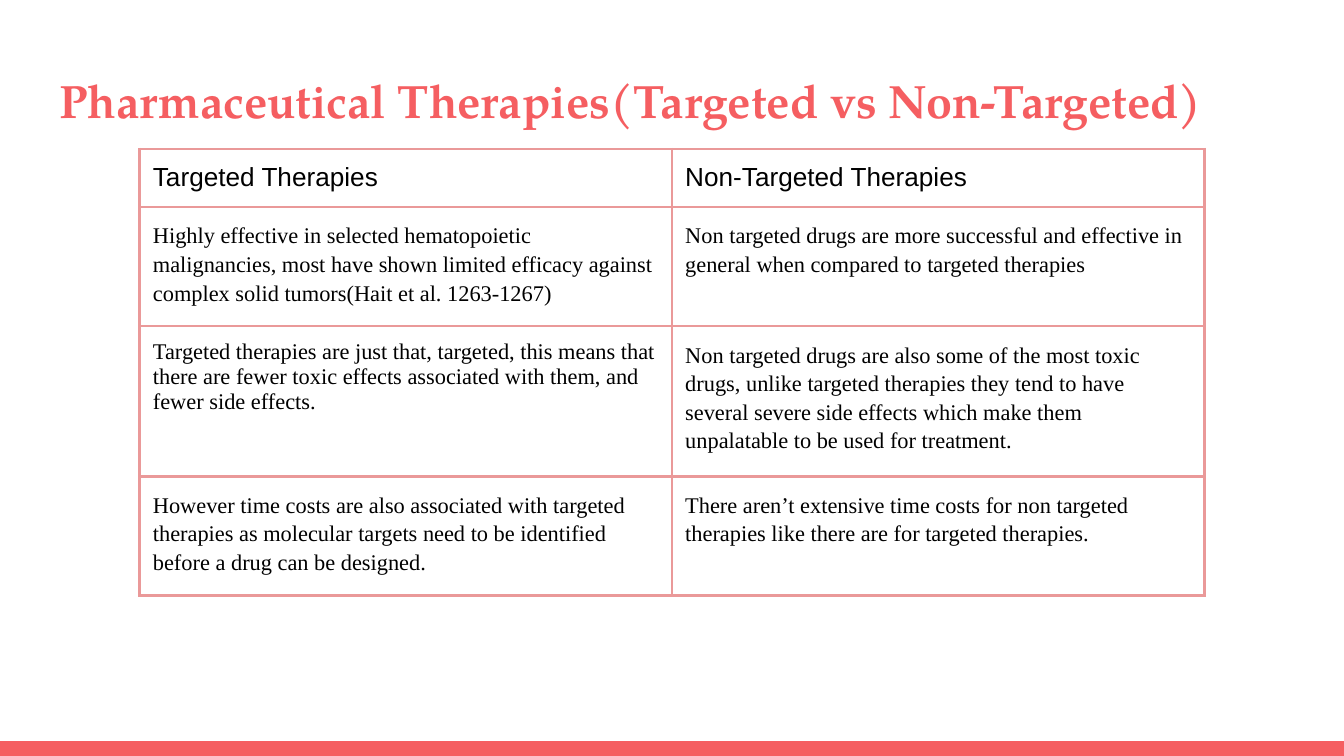
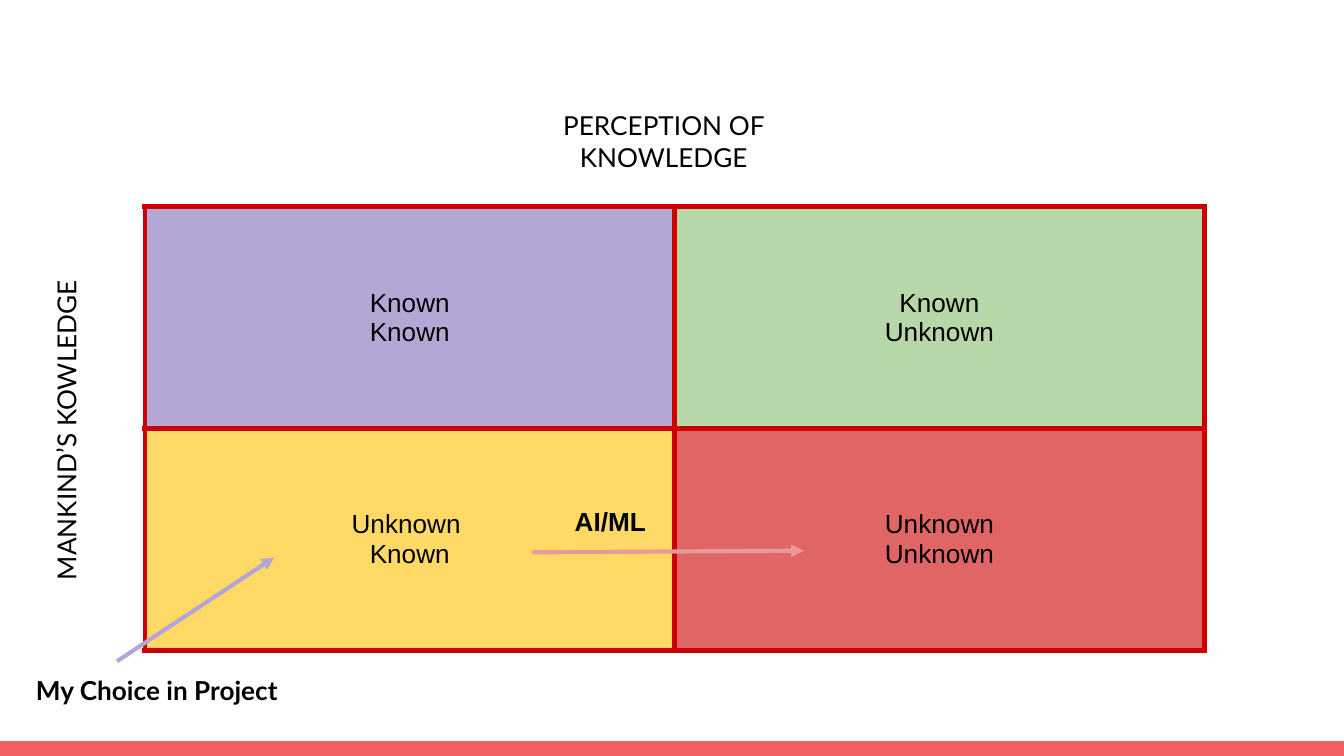
from lxml import etree
from pptx import Presentation
from pptx.dml.color import RGBColor
from pptx.enum.shapes import MSO_CONNECTOR as Connector, MSO_SHAPE as Shape
from pptx.enum.text import MSO_ANCHOR as Anchor, PP_ALIGN as Align
from pptx.oxml.ns import qn
from pptx.util import Cm, Pt

CORAL = RGBColor(0xF5, 0x5E, 0x61)
BLACK = RGBColor(0x00, 0x00, 0x00)
PINK = RGBColor(0xEA, 0x99, 0x99)
DARK_RED = RGBColor(0xCC, 0x00, 0x00)
PURPLE = RGBColor(0xB4, 0xA7, 0xD6)
GREEN = RGBColor(0xB6, 0xD7, 0xA8)
YELLOW = RGBColor(0xFF, 0xD9, 0x66)
RED = RGBColor(0xE0, 0x66, 0x66)

TITLE_FONT, LABEL_FONT = "TeX Gyre Pagella", "Lato"
TABLE_FONT, BODY_FONT = "Arial", "Times New Roman"
WIDTH, HEIGHT, BAND = 25.4, 14.29, 0.28
INSET = Cm(0.25)

# Each body cell holds its text, line spacing and space after.
THERAPIES = [
    [("Highly effective in selected hematopoietic malignancies, most have shown "
      "limited efficacy against complex solid tumors(Hait et al. 1263-1267)", 1.15, 16),
     ("Non targeted drugs are more successful and effective in general when "
      "compared to targeted therapies", 1.15, 16)],
    [("Targeted therapies are just that, targeted, this means that there are fewer "
      "toxic effects associated with them, and fewer side effects.", None, None),
     ("Non targeted drugs are also some of the most toxic drugs, unlike targeted "
      "therapies they tend to have several severe side effects which make them "
      "unpalatable to be used for treatment.", 1.15, 16)],
    [("However time costs are also associated with targeted therapies as molecular "
      "targets need to be identified before a drug can be designed.", 1.15, 16),
     ("There aren’t extensive time costs for non targeted therapies like there are "
      "for targeted therapies.", 1.15, None)],
]
QUADRANTS = [
    [("Known\nKnown", PURPLE), ("Known\nUnknown", GREEN)],
    [("Unknown \nKnown", YELLOW), ("Unknown\nUnknown", RED)],
]


def write(frame, text, font=TABLE_FONT, size=14, color=BLACK, bold=False,
          align=Align.LEFT, spacing=None, after=None):
    """Fill a text frame, one paragraph for each line of text."""
    for index, line in enumerate(text.split("\n")):
        para = frame.add_paragraph() if index else frame.paragraphs[0]
        para.alignment = align
        if spacing:
            para.line_spacing = spacing
        if after:
            para.space_after = Pt(after)
        span = para.add_run()
        span.text = line
        span.font.name = font
        span.font.size = Pt(size)
        span.font.bold = bold
        span.font.color.rgb = color


def add_text(page, text, left, top, width, height, anchor=Anchor.MIDDLE,
             rotation=0, **style):
    box = page.shapes.add_textbox(Cm(left), Cm(top), Cm(width), Cm(height))
    box.rotation = rotation
    frame = box.text_frame
    frame.word_wrap = True
    frame.vertical_anchor = anchor
    frame.margin_left = frame.margin_right = INSET
    frame.margin_top = frame.margin_bottom = INSET
    write(frame, text, **style)


def add_page(deck):
    """Add a blank slide with the band along its foot."""
    page = deck.slides.add_slide(deck.slide_layouts[6])
    band = page.shapes.add_shape(Shape.RECTANGLE, 0, Cm(HEIGHT - BAND),
                                 Cm(WIDTH), Cm(BAND))
    band.shadow.inherit = False
    band.fill.solid()
    band.fill.fore_color.rgb = CORAL
    band.line.fill.background()
    return page


def add_grid(page, left, top, column, row, rows, border, weight):
    """Add a plain two-column table with equal rows and bordered cells."""
    table = page.shapes.add_table(rows, 2, Cm(left), Cm(top),
                                  Cm(2 * column), Cm(rows * row)).table
    table.first_row = table.horz_banding = False
    for each in table.columns:
        each.width = Cm(column)
    for each in table.rows:
        each.height = Cm(row)
    for cell in table.iter_cells():
        cell.margin_left = cell.margin_right = INSET
        cell.margin_top = cell.margin_bottom = INSET
        add_borders(cell, border, weight)
        cell.fill.background()
    return table


def add_borders(cell, color, weight):
    properties = cell._tc.get_or_add_tcPr()
    for side in ("a:lnL", "a:lnR", "a:lnT", "a:lnB"):
        line = etree.SubElement(properties, qn(side), w=str(Pt(weight)))
        fill = etree.SubElement(line, qn("a:solidFill"))
        etree.SubElement(fill, qn("a:srgbClr"), val=str(color))


def add_arrow(page, start, end, color):
    arrow = page.shapes.add_connector(Connector.STRAIGHT, *map(Cm, start + end))
    arrow.line.color.rgb = color
    arrow.line.width = Pt(2.25)
    etree.SubElement(arrow.line._get_or_add_ln(), qn("a:tailEnd"), type="triangle")
    etree.SubElement(arrow._element.spPr, qn("a:effectLst"))


def add_therapies_slide(deck):
    page = add_page(deck)
    add_text(page, "Pharmaceutical Therapies(Targeted vs Non-Targeted)",
             0.87, 1.1, 23.67, 1.72, anchor=Anchor.TOP,
             font=TITLE_FONT, size=25, color=CORAL, bold=True)
    table = add_grid(page, 2.64, 2.82, 10.06, 1.07, len(THERAPIES) + 1, PINK, 1.5)
    for column, heading in enumerate(("Targeted Therapies", "Non-Targeted Therapies")):
        write(table.cell(0, column).text_frame, heading)
    for row, entries in enumerate(THERAPIES, start=1):
        for column, (text, spacing, after) in enumerate(entries):
            write(table.cell(row, column).text_frame, text, font=BODY_FONT,
                  size=12, spacing=spacing, after=after)


def add_knowledge_slide(deck):
    page = add_page(deck)
    table = add_grid(page, 2.74, 3.91, 10.01, 4.19, len(QUADRANTS), DARK_RED, 3)
    for row, entries in enumerate(QUADRANTS):
        for column, (text, color) in enumerate(entries):
            cell = table.cell(row, column)
            cell.fill.solid()
            cell.fill.fore_color.rgb = color
            cell.vertical_anchor = Anchor.MIDDLE
            write(cell.text_frame, text, align=Align.CENTER)
    axis = dict(width=7.21, height=1.42, font=LABEL_FONT, align=Align.CENTER)
    add_text(page, "PERCEPTION OF KNOWLEDGE", 8.94, 1.96, **axis)
    add_text(page, "MANKIND’S KOWLEDGE", -2.36, 7.42, rotation=270, **axis)
    add_text(page, "AI/ML", 9.82, 9.45, 3.43, 0.79, bold=True, align=Align.CENTER)
    add_arrow(page, (10.06, 10.44), (15.19, 10.41), PINK)
    add_arrow(page, (2.21, 12.5), (5.18, 10.54), PURPLE)
    add_text(page, "My Choice in Project", 0.43, 12.5, 6.53, 1.02,
             anchor=Anchor.TOP, font=LABEL_FONT, bold=True)


def main():
    deck = Presentation()
    deck.slide_width, deck.slide_height = Cm(WIDTH), Cm(HEIGHT)
    add_therapies_slide(deck)
    add_knowledge_slide(deck)
    deck.save("out.pptx")


if __name__ == "__main__":
    main()
